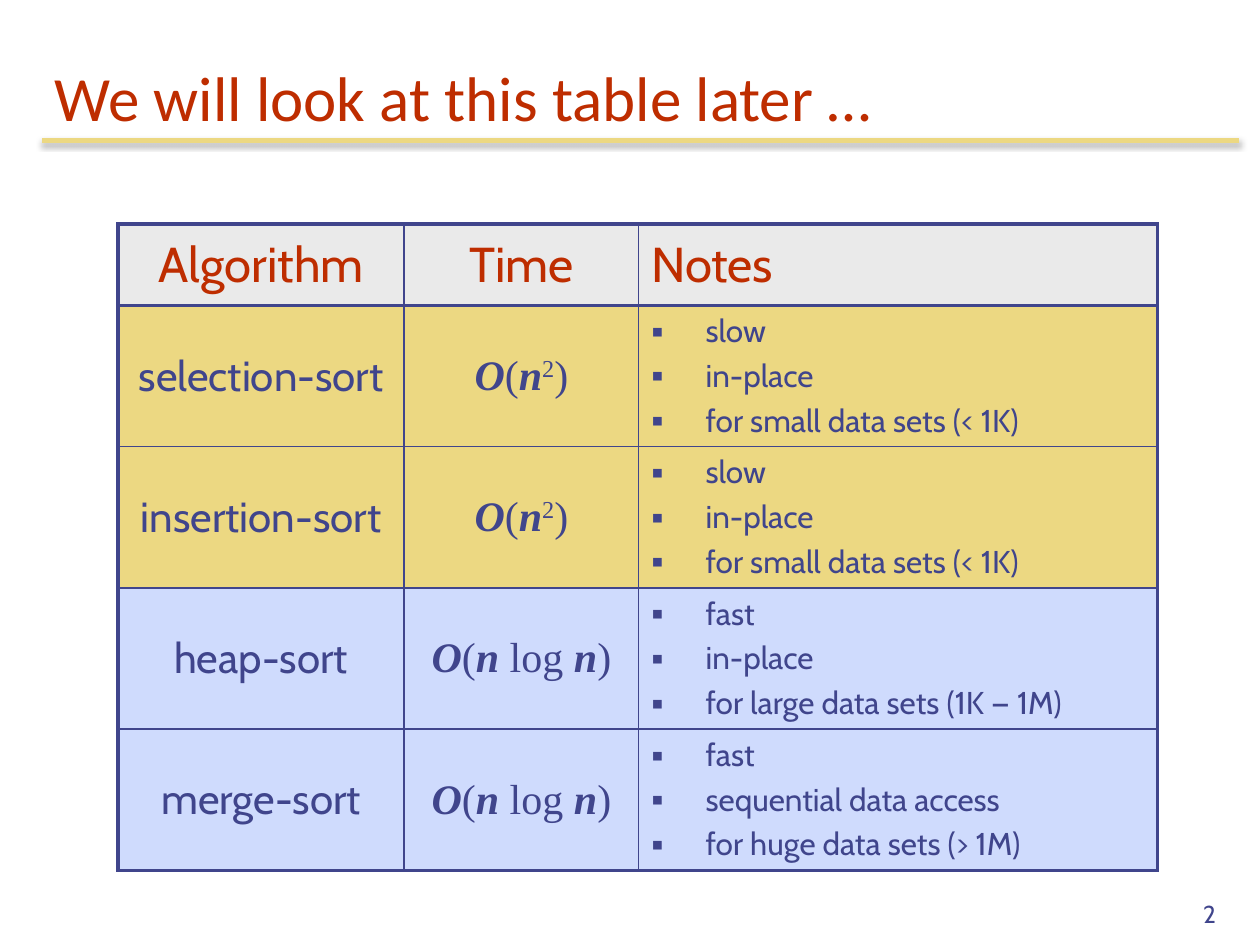
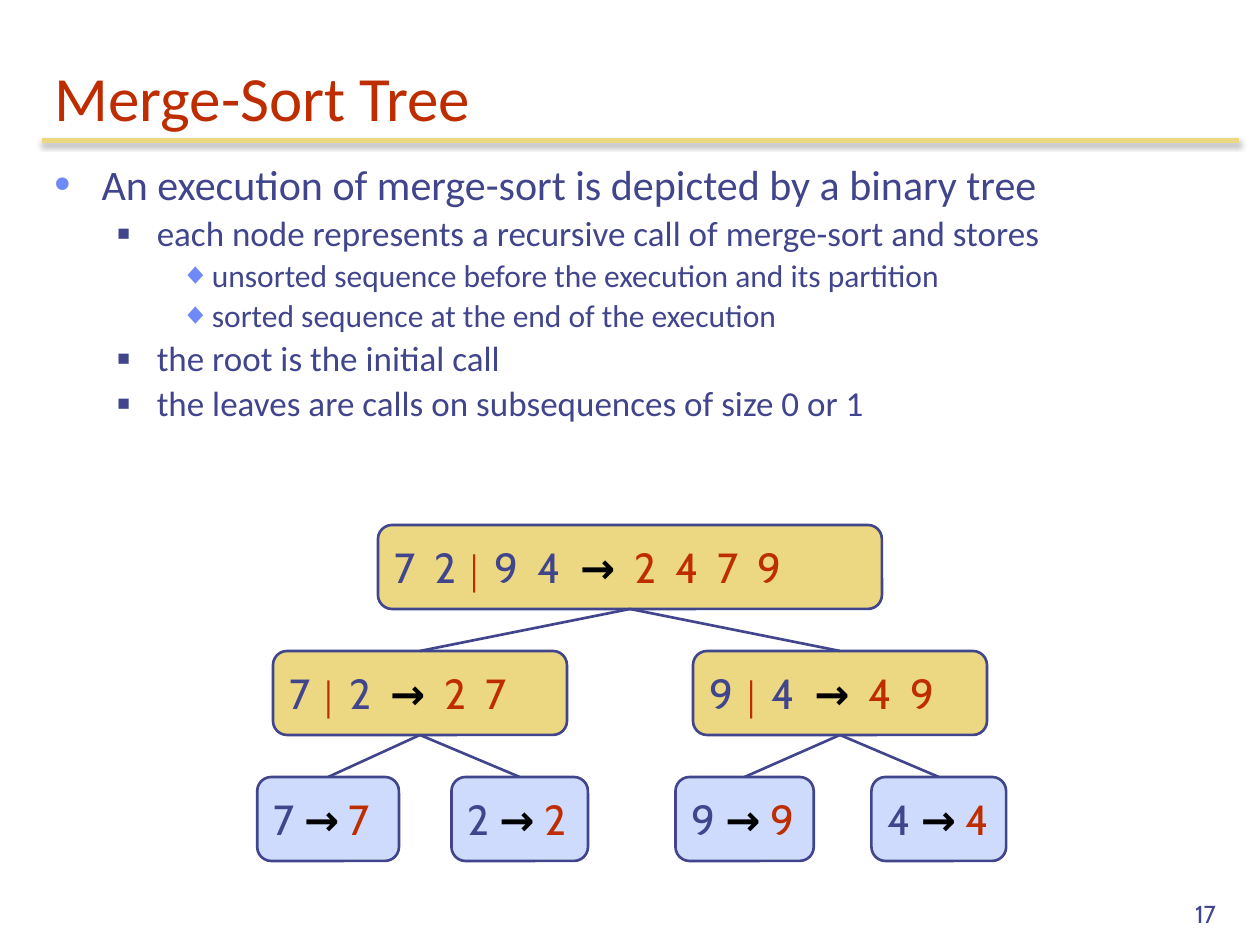
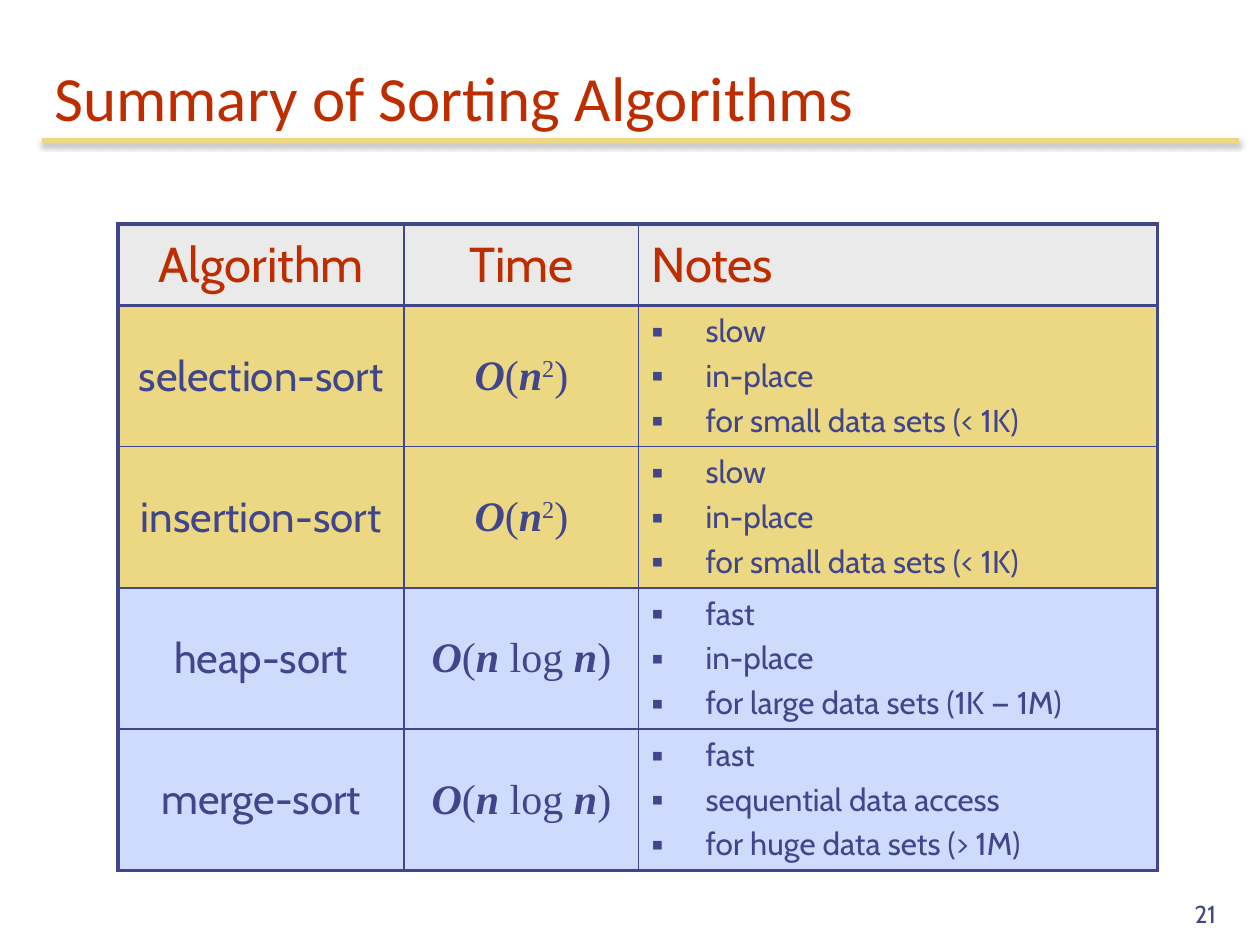
from dataclasses import dataclass

from lxml.etree import SubElement
from pptx import Presentation
from pptx.dml.color import RGBColor as RGB
from pptx.enum.shapes import MSO_CONNECTOR as CONNECTOR, MSO_SHAPE as SHAPE
from pptx.enum.text import MSO_ANCHOR as ANCHOR, PP_ALIGN as ALIGN
from pptx.oxml.ns import qn
from pptx.util import Pt


@dataclass(frozen=True)
class Theme:
    # Colours
    ink: str = "40458C"
    accent: str = "BE2D00"
    gold: str = "ECD882"
    pale_blue: str = "CFDBFD"
    header_gray: str = "EAEAEA"
    bullet_blue: str = "6F89F7"
    black: str = "000000"
    # Fonts
    heading_font: str = "Calibri"
    body_font: str = "Cabin"
    math_font: str = "Times New Roman"
    symbol_font: str = "Arial"
    # Type sizes
    title: int = 36
    table_header: int = 28
    large: int = 24
    medium: int = 20
    small: int = 18
    page_number: int = 14
    # Line widths
    thick: float = 2.25
    thin: float = 1
    outline: float = 1.5
    rule: float = 3


THEME = Theme()

# Outline levels: size, left margin, hanging indent, mark, mark colour, mark percent
LEVELS = [
    (THEME.large, 27, 27, "•", THEME.bullet_blue, 110),
    (THEME.medium, 58.5, 22.5, "■", THEME.ink, 60),
    (THEME.small, 90, 18, "◆", THEME.bullet_blue, 95),
]
OUTLINE = [
    (0, "An execution of merge-sort is depicted by a binary tree"),
    (1, "each node represents a recursive call of merge-sort and stores"),
    (2, "unsorted sequence before the execution and its partition"),
    (2, "sorted sequence at the end of the execution"),
    (1, "the root is the initial call"),
    (1, "the leaves are calls on subsequences of size 0 or 1"),
]

# Sorting algorithms: name, running time in pieces, notes, row colour
SQUARE_TIME = ["O", "(", "n", "2", ")"]
LOG_TIME = ["O", "(", "n", " log ", "n", ")"]
SMALL_SETS = ["slow", "in-place", "for small data sets (< 1K)"]
HEADERS = ["Algorithm", "Time", "Notes"]
ALGORITHMS = [
    ("selection-sort", SQUARE_TIME, SMALL_SETS, THEME.gold),
    ("insertion-sort", SQUARE_TIME, SMALL_SETS, THEME.gold),
    ("heap-sort", LOG_TIME,
     ["fast", "in-place", "for large data sets (1K — 1M)"], THEME.pale_blue),
    ("merge-sort", LOG_TIME,
     ["fast", "sequential data access", "for huge data sets (> 1M)"], THEME.pale_blue),
]
COLUMN_WIDTHS = [163.5, 134, 296.5]
HEADER_HEIGHT, ROW_HEIGHT = 46.5, 80.75

# Merge-sort tree: digits, left edge, width, children
TREE = ("7294", 216, 288, [
    ("72", 156, 168, [("7", 147, 81, []), ("2", 258, 78, [])]),
    ("94", 396, 168, [("9", 386, 79, []), ("4", 498, 77, [])]),
])
TREE_TOP, NODE_HEIGHT, LEVEL_STEP = 300, 48, 72


# Text
def style_run(run, size, color=THEME.ink, font=THEME.body_font, bold=False, italic=False):
    run.font.name = font
    run.font.size = Pt(size)
    run.font.color.rgb = RGB.from_string(color)
    run.font.bold = bold
    run.font.italic = italic


def add_run(paragraph, text, size, **style):
    run = paragraph.add_run()
    run.text = text
    style_run(run, size, **style)
    return run


def set_paragraph(paragraph, text, size, align=ALIGN.LEFT, **style):
    paragraph.text = text
    paragraph.alignment = align
    style_run(paragraph.runs[0], size, **style)


def add_bullet(paragraph, margin, hanging, mark, color, percent):
    properties = paragraph._p.get_or_add_pPr()
    properties.set("marL", str(Pt(margin)))
    properties.set("indent", str(-Pt(hanging)))
    mark_color = SubElement(properties, qn("a:buClr"))
    SubElement(mark_color, qn("a:srgbClr"), val=color)
    SubElement(properties, qn("a:buSzPct"), val=str(percent * 1000))
    SubElement(properties, qn("a:buFont"), typeface=THEME.symbol_font)
    SubElement(properties, qn("a:buChar"), char=mark)


def paragraphs_for(frame, items):
    for index, item in enumerate(items):
        yield (frame.add_paragraph() if index else frame.paragraphs[0]), item


def add_text_frame(slide, left, top, width, height, anchor=ANCHOR.TOP):
    frame = slide.shapes.add_textbox(Pt(left), Pt(top), Pt(width), Pt(height)).text_frame
    frame.word_wrap = True
    frame.vertical_anchor = anchor
    return frame


# Lines
def add_line(slide, start, end, color, width):
    line = slide.shapes.add_connector(
        CONNECTOR.STRAIGHT, *(Pt(value) for value in (*start, *end)))
    line.line.color.rgb = RGB.from_string(color)
    line.line.width = Pt(width)
    effects = SubElement(line._element.spPr, qn("a:effectLst"))
    return line, effects


def add_title_rule(slide):
    _, effects = add_line(slide, (24, 80.5), (708, 80.5), THEME.gold, THEME.rule)
    shadow = SubElement(effects, qn("a:outerShdw"), blurRad=str(Pt(3.1)),
                        dist=str(Pt(1.8)), dir="5400000", rotWithShape="0")
    shade = SubElement(shadow, qn("a:srgbClr"), val=THEME.black)
    SubElement(shade, qn("a:alpha"), val="35000")


# Slide frame: rule, title and page number
def add_slide(deck, title, number):
    slide = deck.slides.add_slide(deck.slide_layouts[6])
    add_title_rule(slide)
    heading = add_text_frame(slide, 24, 24, 684, 56, ANCHOR.BOTTOM)
    set_paragraph(heading.paragraphs[0], title, THEME.title,
                  color=THEME.accent, font=THEME.heading_font)
    footer = add_text_frame(slide, 552, 498, 150, 36, ANCHOR.BOTTOM)
    set_paragraph(footer.paragraphs[0], str(number), THEME.page_number, ALIGN.RIGHT)
    return slide


# Table of algorithms
def set_borders(cell, widths):
    properties = cell._tc.get_or_add_tcPr()
    for side, width in zip("LRTB", widths):
        border = SubElement(properties, qn(f"a:ln{side}"), w=str(Pt(width)))
        fill = SubElement(border, qn("a:solidFill"))
        SubElement(fill, qn("a:srgbClr"), val=THEME.ink)


def frame_cell(cell, row, column, color):
    heavy_sides = (column == 0, column == len(HEADERS) - 1,
                   row <= 1, row in (0, len(ALGORITHMS)))
    set_borders(cell, [THEME.thick if heavy else THEME.thin for heavy in heavy_sides])
    cell.fill.solid()
    cell.fill.fore_color.rgb = RGB.from_string(color)
    cell.vertical_anchor = ANCHOR.MIDDLE
    for paragraph in cell.text_frame.paragraphs:
        paragraph.space_before = Pt(0.2 * paragraph.runs[0].font.size.pt)


def write_time(paragraph, pieces):
    paragraph.alignment = ALIGN.CENTER
    for piece in pieces:
        is_symbol = piece in ("O", "n")
        run = add_run(paragraph, piece, THEME.large, font=THEME.math_font,
                      bold=is_symbol, italic=is_symbol)
        if piece == "2":
            run._r.get_or_add_rPr().set("baseline", "30000")


def write_notes(frame, notes):
    for paragraph, note in paragraphs_for(frame, notes):
        set_paragraph(paragraph, f" {note}", THEME.small)
        add_bullet(paragraph, 27, 27, "▪", THEME.ink, 110)


def add_algorithm_table(slide):
    table = slide.shapes.add_table(
        len(ALGORITHMS) + 1, len(HEADERS), Pt(67.5), Pt(128), Pt(sum(COLUMN_WIDTHS)),
        Pt(HEADER_HEIGHT + ROW_HEIGHT * len(ALGORITHMS))).table
    table.first_row = table.horz_banding = False
    for column, width in zip(table.columns, COLUMN_WIDTHS):
        column.width = Pt(width)
    for index, row in enumerate(table.rows):
        row.height = Pt(ROW_HEIGHT if index else HEADER_HEIGHT)

    for column, header in enumerate(HEADERS):
        cell = table.cell(0, column)
        align = ALIGN.LEFT if header == "Notes" else ALIGN.CENTER
        set_paragraph(cell.text_frame.paragraphs[0], header, THEME.table_header,
                      align, color=THEME.accent)
        frame_cell(cell, 0, column, THEME.header_gray)

    for row, (name, time, notes, color) in enumerate(ALGORITHMS, start=1):
        name_cell, time_cell, notes_cell = cells = [
            table.cell(row, column) for column in range(len(HEADERS))]
        set_paragraph(name_cell.text_frame.paragraphs[0], name, THEME.large, ALIGN.CENTER)
        write_time(time_cell.text_frame.paragraphs[0], time)
        write_notes(notes_cell.text_frame, notes)
        for column, cell in enumerate(cells):
            frame_cell(cell, row, column, color)


# Outline of the merge-sort tree
def add_outline(slide):
    frame = add_text_frame(slide, 24, 90, 684, 408)
    for paragraph, (level, text) in paragraphs_for(frame, OUTLINE):
        size, *bullet = LEVELS[level]
        set_paragraph(paragraph, text, size, font=THEME.heading_font)
        paragraph.level = level
        paragraph.line_spacing = 0.9
        paragraph.space_before = Pt(0.2 * size)
        add_bullet(paragraph, *bullet)


# Merge-sort tree
def write_node(paragraph, digits):
    paragraph.alignment = ALIGN.LEFT
    gap = "  " if len(digits) > 1 else " "
    half = len(digits) // 2
    if half:
        add_run(paragraph, gap.join(digits[:half]) + " ", THEME.large)
        add_run(paragraph, "│", THEME.small, color=THEME.accent,
                font=THEME.symbol_font, bold=True)
        add_run(paragraph, " " + gap.join(digits[half:]) + gap, THEME.large)
    else:
        add_run(paragraph, digits + gap, THEME.large)
    add_run(paragraph, "→" + gap, THEME.large, color=THEME.black, bold=True)
    add_run(paragraph, gap.join(sorted(digits)), THEME.large, color=THEME.accent)


def add_node(slide, digits, left, top, width, color):
    node = slide.shapes.add_shape(SHAPE.ROUNDED_RECTANGLE, Pt(left), Pt(top),
                                  Pt(width), Pt(NODE_HEIGHT))
    node.shadow.inherit = False
    node.fill.solid()
    node.fill.fore_color.rgb = RGB.from_string(color)
    node.line.color.rgb = RGB.from_string(THEME.ink)
    node.line.width = Pt(THEME.outline)
    node.text_frame.word_wrap = False
    node.text_frame.vertical_anchor = ANCHOR.MIDDLE
    write_node(node.text_frame.paragraphs[0], digits)
    return node


def add_tree(slide, tree, top=TREE_TOP):
    digits, left, width, children = tree
    color = THEME.gold if children else THEME.pale_blue
    parent = add_node(slide, digits, left, top, width, color)
    for child_tree in children:
        child = add_tree(slide, child_tree, top + LEVEL_STEP)
        branch, _ = add_line(slide, (0, 0), (0, 0), THEME.ink, THEME.outline)
        branch.begin_connect(parent, 2)
        branch.end_connect(child, 0)
    return parent


def main():
    deck = Presentation()
    deck.slide_width, deck.slide_height = Pt(720), Pt(540)

    add_algorithm_table(add_slide(deck, "We will look at this table later …", 2))

    tree_slide = add_slide(deck, "Merge-Sort Tree", 17)
    add_outline(tree_slide)
    add_tree(tree_slide, TREE)

    add_algorithm_table(add_slide(deck, "Summary of Sorting Algorithms", 21))

    deck.save("out.pptx")


if __name__ == "__main__":
    main()
